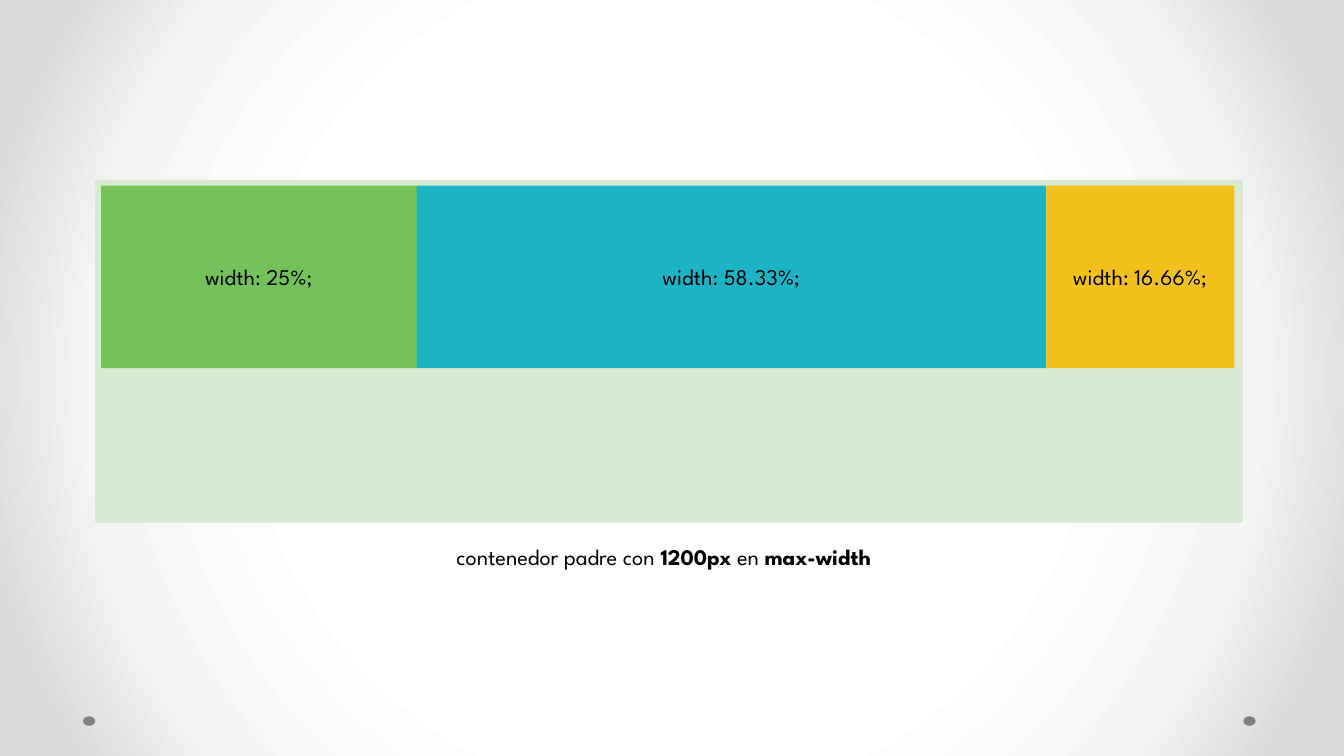
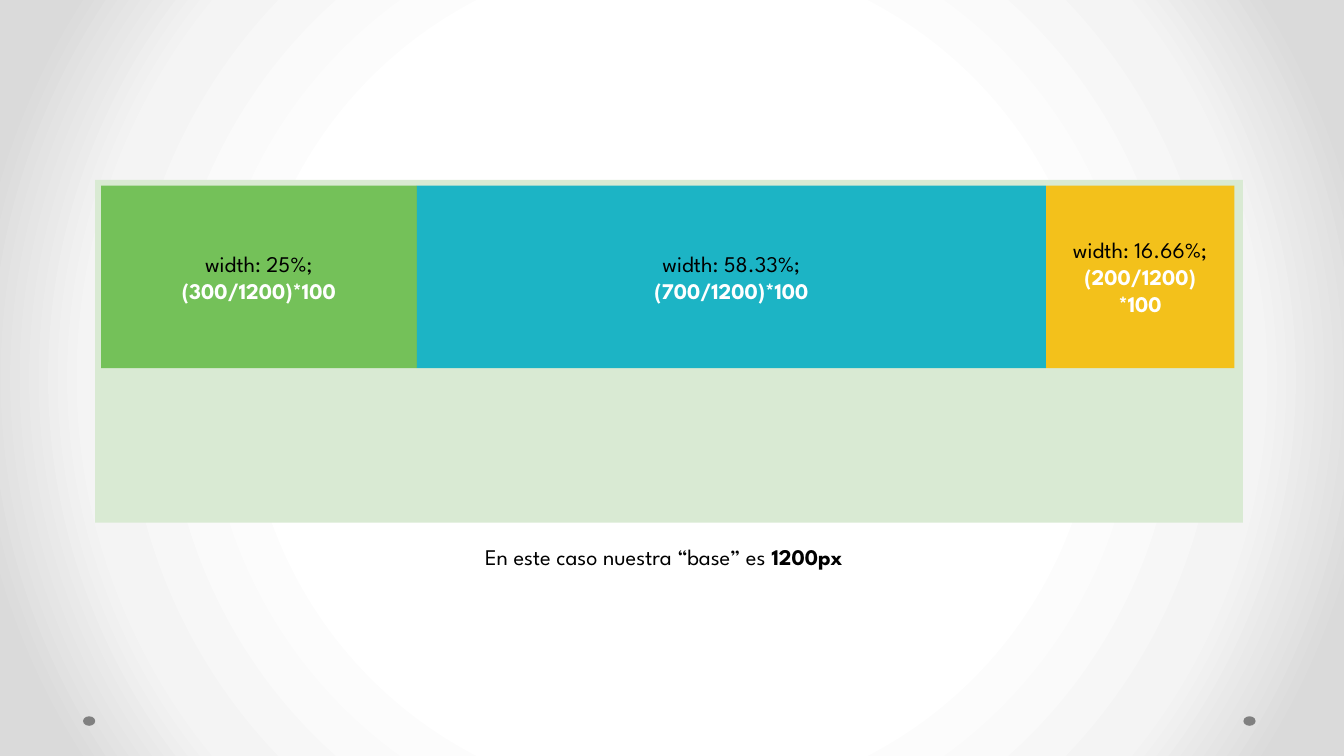
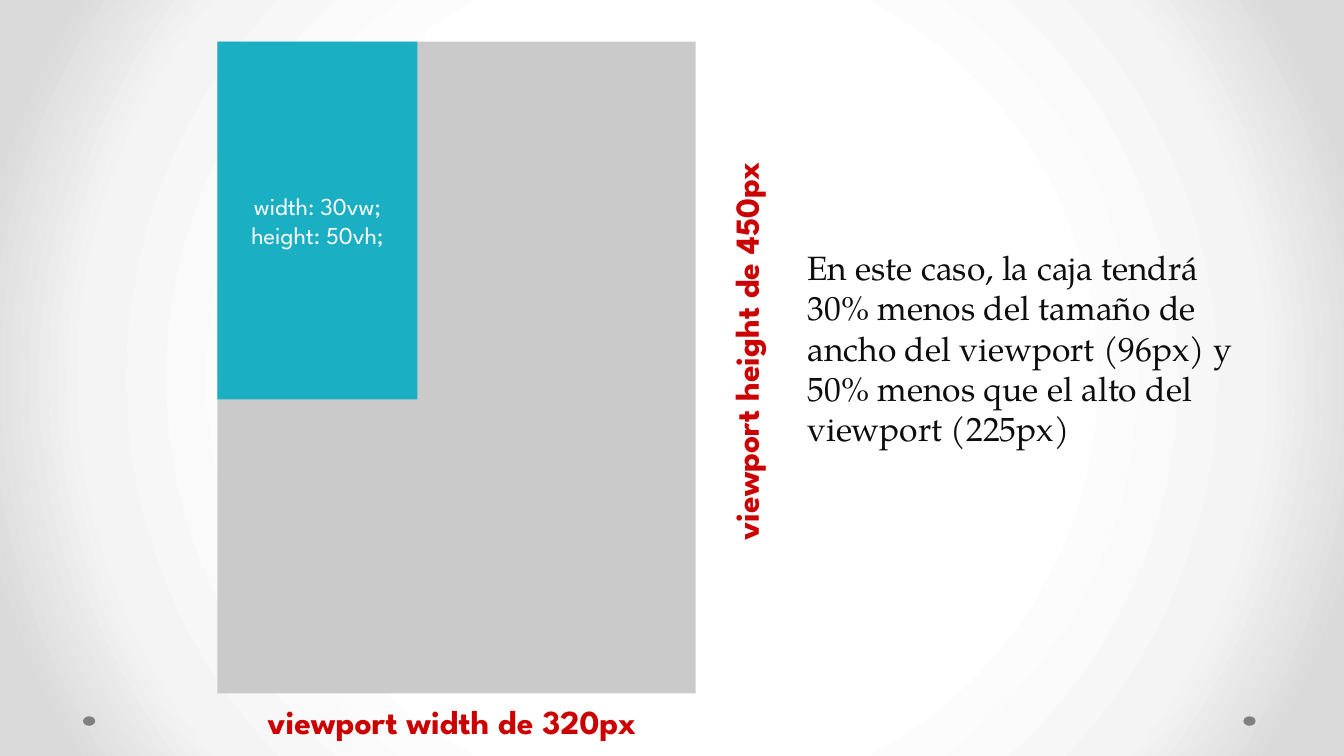
from lxml import etree
from pptx import Presentation
from pptx.dml.color import RGBColor
from pptx.enum.shapes import MSO_SHAPE
from pptx.enum.text import MSO_ANCHOR, MSO_AUTO_SIZE, PP_ALIGN
from pptx.oxml import parse_xml
from pptx.oxml.ns import nsdecls, qn
from pptx.util import Cm, Pt

RECTANGLE, OVAL = MSO_SHAPE.RECTANGLE, MSO_SHAPE.OVAL
TOP, MIDDLE = MSO_ANCHOR.TOP, MSO_ANCHOR.MIDDLE
LEFT, CENTER = PP_ALIGN.LEFT, PP_ALIGN.CENTER
NO_AUTOFIT = MSO_AUTO_SIZE.NONE

COLORS = {
    "black": "000000", "white": "FFFFFF", "ink": "0D0D0D", "red": "CC0000",
    "green": "65BB48", "teal": "00ACC3", "yellow": "F8BB00",
    "parent": "D9EAD3", "viewport": "CACACA", "dot": "808080",
}
GLOW = [(50, "FFFFFF"), (76, "F4F4F4"), (92, "DADADA")]
SANS, SERIF = "League Spartan", "TeX Gyre Pagella"
INSET = 0.25

COLUMNS = [
    ("green", 5.97, "width: 25%;", ["(300/1200)*100"]),
    ("teal", 11.89, "width: 58.33%;", ["(700/1200)*100"]),
    ("yellow", 3.56, "width: 16.66%;", ["(200/1200)", "*100"]),
]
PERCENT_SLIDES = [
    (False, [("contenedor padre con ", False), ("1200px", True),
             (" en ", False), ("max-width", True)]),
    (True, [("En este caso nuestra “base” es ", False), ("1200px", True)]),
]
BOX_RULES = ["width: 30vw;", "height: 50vh;"]
VIEWPORT_LABELS = [
    ("viewport width de 320px", (4.11, 13, 8.86, 1.17), 0),
    ("viewport height de 450px", (9.68, 5.99, 8.86, 1.3), 270),
]
EXPLANATION = ("En este caso, la caja tendrá 30% menos del tamaño de ancho del viewport "
               "(96px) y 50% menos que el alto del viewport (225px)")

PARENT = (1.8, 3.4, 21.69, 6.48)
COLUMNS_LEFT, COLUMNS_TOP, COLUMNS_HEIGHT = 1.91, 3.51, 3.45
CAPTION = (5.13, 10.01, 14.83, 1.17)
VIEWPORT = (4.11, 0.79, 9.04, 12.32)
BOX = (4.11, 0.79, 3.78, 6.76)
EXPLANATION_AREA = (15.01, 1.55, 8.59, 10.8)
EXPLANATION_LIFT = 0.76
DOTS = [(23.5, 13.54, 0.23, 0.18), (1.57, 13.54, 0.23, 0.18)]


def lengths(area):
    return [Cm(value) for value in area]


def rgb(color):
    return RGBColor.from_string(COLORS[color])


def add_block(slide, area, color, opacity=100, kind=RECTANGLE):
    block = slide.shapes.add_shape(kind, *lengths(area))
    block.shadow.inherit = False
    block.fill.solid()
    block.fill.fore_color.rgb = rgb(color)
    block.line.fill.background()
    if opacity < 100:
        tint = next(block.element.spPr.iter(qn("a:srgbClr")))
        etree.SubElement(tint, qn("a:alpha")).set("val", str(opacity * 1000))
    return block


def write(holder, lines, size, font=SANS, anchor=MIDDLE, align=CENTER):
    frame = holder.text_frame
    frame.word_wrap = True
    frame.auto_size = NO_AUTOFIT
    frame.vertical_anchor = anchor
    frame.margin_left = frame.margin_right = Cm(INSET)
    frame.margin_top = frame.margin_bottom = Cm(INSET)
    for index, line in enumerate(lines):
        paragraph = frame.paragraphs[0] if index == 0 else frame.add_paragraph()
        paragraph.alignment = align
        for text, color, bold in line:
            run = paragraph.add_run()
            run.text = text
            run.font.name = font
            run.font.size = Pt(size)
            run.font.bold = bold
            run.font.color.rgb = rgb(color)


def add_label(slide, area, line, size):
    label = slide.shapes.add_textbox(*lengths(area))
    write(label, [line], size, anchor=TOP)
    return label


def style_master(master, slide):
    fill = master.background.fill
    fill.solid()
    stops = "".join(f'<a:gs pos="{position * 1000}"><a:srgbClr val="{color}"/></a:gs>'
                    for position, color in GLOW)
    glow = parse_xml(
        f'<a:gradFill {nsdecls("a")} rotWithShape="1"><a:gsLst>{stops}</a:gsLst>'
        '<a:path path="circle"><a:fillToRect l="50000" t="50000" r="50000" b="50000"/>'
        '</a:path></a:gradFill>')
    solid = next(master.element.cSld.iter(qn("a:solidFill")))
    solid.getparent().replace(solid, glow)
    for number, area in enumerate(DOTS, start=20):
        dot = add_block(slide, area, "dot", kind=OVAL)
        dot.element.nvSpPr.cNvPr.set("id", str(number))
        master.shapes.element.append(dot.element)


def fill_percent_slide(slide, with_formula, caption):
    add_block(slide, PARENT, "parent")
    left = COLUMNS_LEFT
    for color, width, rule, formula in COLUMNS:
        column = add_block(slide, (left, COLUMNS_TOP, width, COLUMNS_HEIGHT), color, 87)
        lines = [[(rule, "black", False)]]
        if with_formula:
            lines += [[(part, "white", True)] for part in formula]
        write(column, lines, 12)
        left += width
    add_label(slide, CAPTION, [(text, "black", bold) for text, bold in caption], 12)


def fill_viewport_slide(slide):
    add_block(slide, VIEWPORT, "viewport")
    box = add_block(slide, BOX, "teal", 87)
    write(box, [[(rule, "white", False)] for rule in BOX_RULES], 13)
    for text, area, angle in VIEWPORT_LABELS:
        add_label(slide, area, [(text, "red", True)], 18).rotation = angle

    title = slide.shapes.title.element
    title.getparent().remove(title)
    explanation = slide.placeholders[1]
    explanation.left, explanation.top, explanation.width, explanation.height = lengths(
        EXPLANATION_AREA)
    write(explanation, [[(EXPLANATION, "ink", False)]], 18, SERIF, align=LEFT)
    explanation.text_frame.margin_bottom = Cm(INSET + EXPLANATION_LIFT)
    paragraph = explanation.text_frame.paragraphs[0]
    paragraph.space_before = Pt(0)
    properties = paragraph._p.get_or_add_pPr()
    properties.set("marL", "0")
    properties.set("indent", "0")
    etree.SubElement(properties, qn("a:buNone"))


def main():
    deck = Presentation()
    deck.slide_width, deck.slide_height = Cm(25.4), Cm(14.29)
    content_layout, blank_layout = deck.slide_layouts[1], deck.slide_layouts[6]
    percent_slides = [deck.slides.add_slide(blank_layout) for _ in PERCENT_SLIDES]
    style_master(deck.slide_master, percent_slides[0])
    for slide, (with_formula, caption) in zip(percent_slides, PERCENT_SLIDES):
        fill_percent_slide(slide, with_formula, caption)
    fill_viewport_slide(deck.slides.add_slide(content_layout))
    deck.save("out.pptx")


if __name__ == "__main__":
    main()
